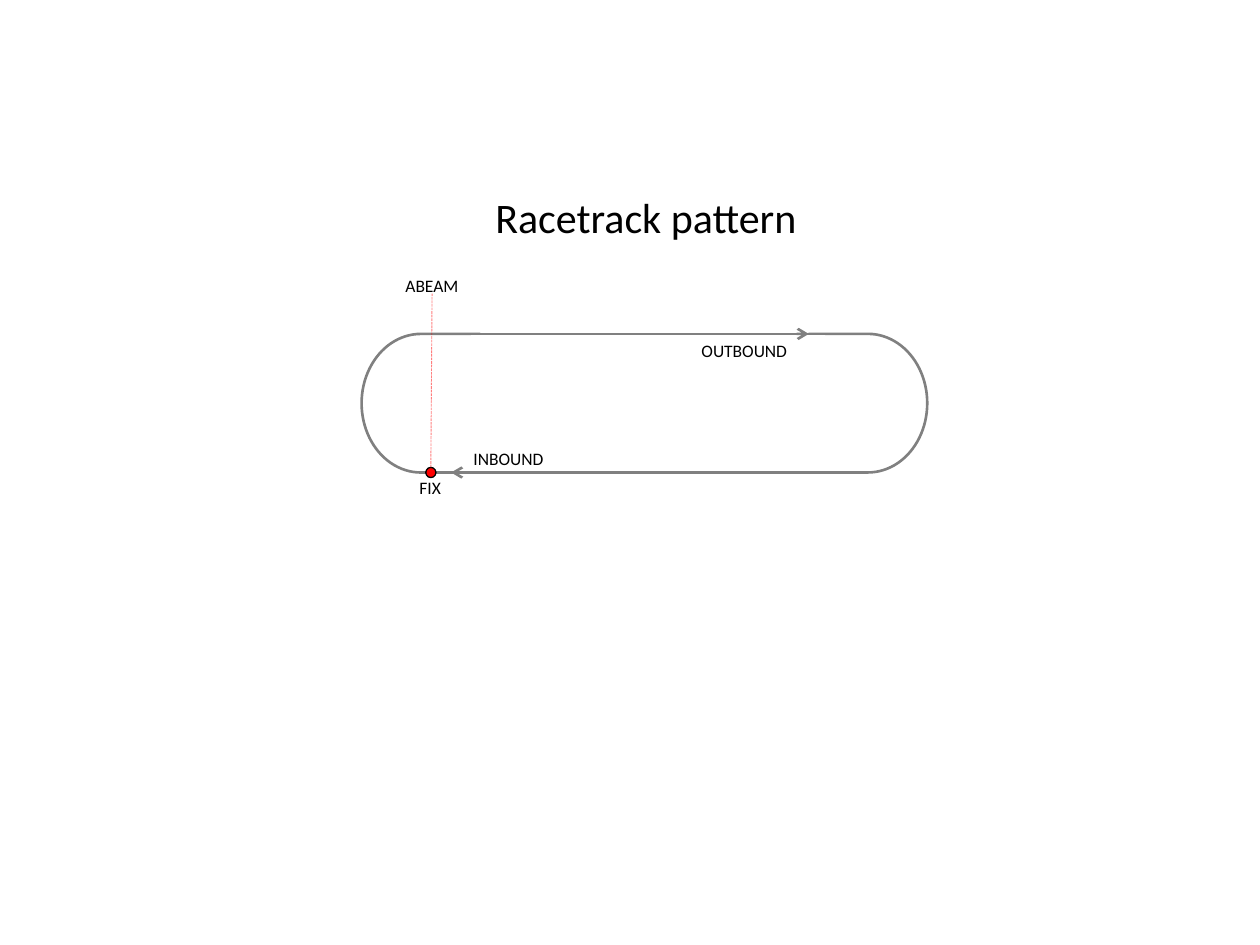
"""Build a slide showing a racetrack holding pattern with its fix and legs."""
import pptx
import pptx.dml.color
import pptx.enum.dml
import pptx.enum.shapes
import pptx.enum.text
import pptx.oxml.ns
import pptx.oxml.xmlchemy
import pptx.util

Pt = pptx.util.Pt
SHAPES = pptx.enum.shapes.MSO_SHAPE
TRACK, WHITE, RED, BLACK = "808080", "FFFFFF", "FF0000", "000000"

TOP, BOTTOM = 190.8, 270
TURN_WIDTH = 67.7
LEFT_TURN, RIGHT_TURN = 206.6, 462.2
FIX_X, FIX_SIZE = 246.2, 5.8

TITLE = ("Racetrack pattern", (275.8, 105.8, 374.4, 36))
LABELS = [
    ("ABEAM", (224.6, 153.4, 56.9, 19.4)),
    ("OUTBOUND", (393.8, 190.8, 67.7, 19.4)),
    ("INBOUND", (263.5, 252.7, 67.7, 19.4)),
    ("FIX", (232.6, 269.3, 39.6, 19.4)),
]
TURNS = [(LEFT_TURN, 180), (RIGHT_TURN, 0)]
INNER_MASK = (269.3, 213.1, 203.8, 62.6)
CORNER_MASKS = [(269.3, 191.5, 17.3, 21.6), (454.3, 191.5, 17.3, 22.3)]
LEGS = [
    (263.5, 490.3, TOP, False),
    (252, 478.8, BOTTOM, False),
    (257.8, 348.5, BOTTOM, True),
    (462.2, 422.6, TOP, True),
]


def color(value):
    return pptx.dml.color.RGBColor.from_string(value)


def append_element(parent, tag, **attributes):
    element = pptx.oxml.xmlchemy.OxmlElement(tag)
    for name, value in attributes.items():
        element.set(name, value)
    parent.append(element)


def add_figure(slide, kind, box, fill=None, line=None, weight=0.75, rotation=0):
    shape = slide.shapes.add_shape(kind, *map(Pt, box))
    shape.shadow.inherit = False
    shape.rotation = rotation
    if fill:
        shape.fill.solid()
        shape.fill.fore_color.rgb = color(fill)
    else:
        shape.fill.background()
    if line:
        shape.line.color.rgb = color(line)
        shape.line.width = Pt(weight)
    else:
        shape.line.fill.background()
    return shape


def add_line(slide, start, end, line=TRACK, weight=1.5):
    connector = slide.shapes.add_connector(
        pptx.enum.shapes.MSO_CONNECTOR.STRAIGHT, *map(Pt, start + end))
    connector.line.color.rgb = color(line)
    connector.line.width = Pt(weight)
    append_element(connector._element.spPr, "a:effectLst")
    return connector


def write_text(shape, text, size=10, font="Calibri", text_color=BLACK):
    frame = shape.text_frame
    frame.word_wrap = True
    frame.auto_size = pptx.enum.text.MSO_AUTO_SIZE.SHAPE_TO_FIT_TEXT
    frame.vertical_anchor = pptx.enum.text.MSO_ANCHOR.TOP
    frame.text = text
    paragraph = frame.paragraphs[0]
    paragraph.alignment = pptx.enum.text.PP_ALIGN.LEFT
    paragraph.font.size = Pt(size)
    paragraph.font.name = font
    paragraph.font.color.rgb = color(text_color)


def add_track(slide):
    for left, rotation in TURNS:
        add_figure(slide, SHAPES.FLOWCHART_DELAY,
                   (left, TOP, TURN_WIDTH, BOTTOM - TOP),
                   line=TRACK, weight=1.5, rotation=rotation)
    add_figure(slide, SHAPES.RECTANGLE, INNER_MASK, WHITE, WHITE, 7.75)
    for box in CORNER_MASKS:
        add_figure(slide, SHAPES.RECTANGLE, box, WHITE)
    for start, end, height, has_arrow in LEGS:
        leg = add_line(slide, (start, height), (end, height))
        if has_arrow:
            append_element(leg.line._get_or_add_ln(), "a:headEnd", type="arrow")


def add_fix(slide):
    box = (FIX_X - FIX_SIZE / 2, BOTTOM - FIX_SIZE / 2, FIX_SIZE, FIX_SIZE)
    fix = add_figure(slide, SHAPES.OVAL, box, RED, BLACK)
    abeam = add_line(slide, (FIX_X, box[1]), (FIX_X + 0.7, 167.8), RED, 0.5)
    abeam.begin_connect(fix, 0)
    abeam.line.dash_style = pptx.enum.dml.MSO_LINE.SQUARE_DOT
    stroke = abeam.line._get_or_add_ln()
    stroke_color = stroke.find(".//" + pptx.oxml.ns.qn("a:srgbClr"))
    append_element(stroke_color, "a:alpha", val="50000")


def main():
    presentation = pptx.Presentation()
    presentation.slide_width, presentation.slide_height = Pt(720), Pt(540)
    slide = presentation.slides.add_slide(presentation.slide_layouts[5])
    text, box = TITLE
    title = slide.shapes.title
    title.left, title.top, title.width, title.height = map(Pt, box)
    write_text(title, text, size=24)
    add_track(slide)
    add_fix(slide)
    for text, box in LABELS:
        write_text(slide.shapes.add_textbox(*map(Pt, box)), text)
    presentation.save("out.pptx")


if __name__ == "__main__":
    main()
